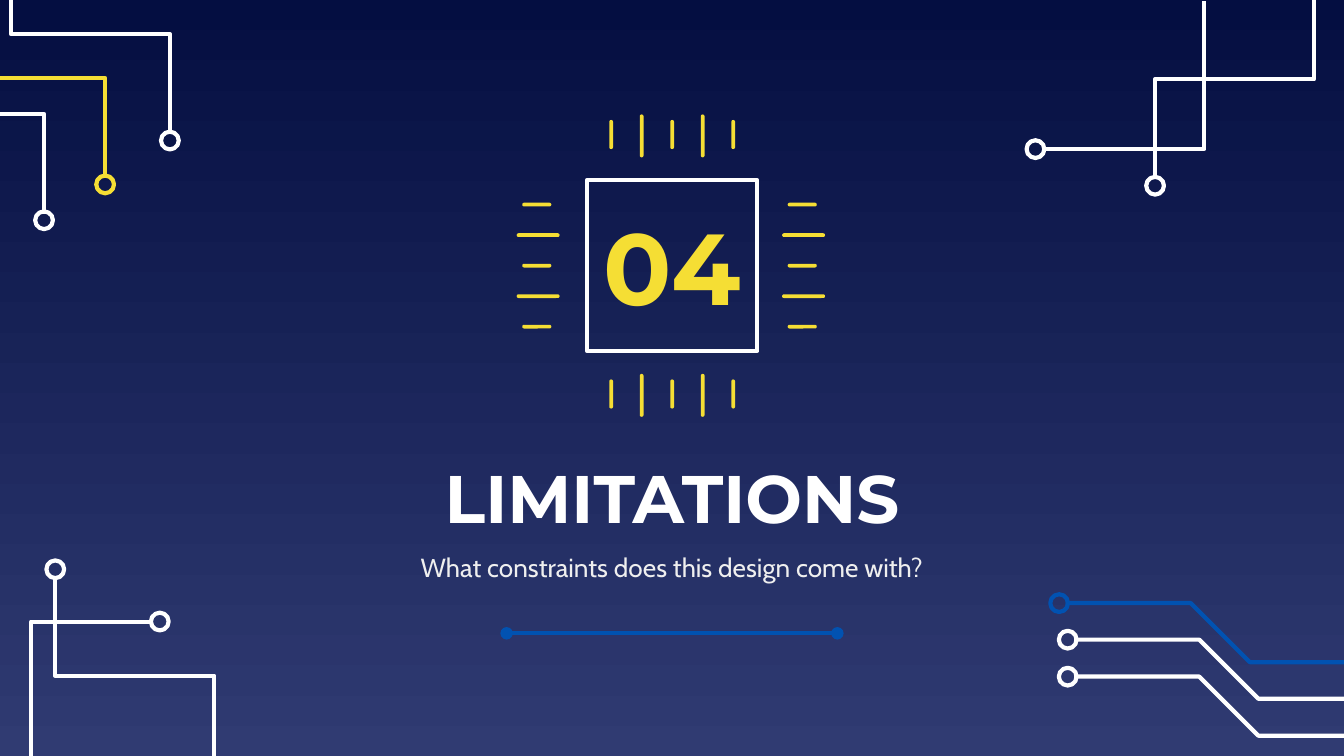
from dataclasses import dataclass
from math import hypot

from lxml import etree
from pptx import Presentation
from pptx.dml.color import RGBColor
from pptx.enum.shapes import MSO_CONNECTOR, MSO_SHAPE
from pptx.enum.text import MSO_ANCHOR, MSO_AUTO_SIZE, PP_ALIGN
from pptx.oxml.ns import qn
from pptx.util import Pt

STRAIGHT = MSO_CONNECTOR.STRAIGHT
OVAL, RECT, ROUNDED = MSO_SHAPE.OVAL, MSO_SHAPE.RECTANGLE, MSO_SHAPE.ROUNDED_RECTANGLE
MIDDLE, CENTER, NO_FIT = MSO_ANCHOR.MIDDLE, PP_ALIGN.CENTER, MSO_AUTO_SIZE.NONE


@dataclass(frozen=True)
class Theme:
    """Colours, fonts, type sizes and line measures of the slide."""
    night: RGBColor = RGBColor.from_string("040E41")
    dusk: RGBColor = RGBColor.from_string("303B72")
    white: RGBColor = RGBColor.from_string("FFFFFF")
    yellow: RGBColor = RGBColor.from_string("F5DE34")
    blue: RGBColor = RGBColor.from_string("0152B1")
    pale: RGBColor = RGBColor.from_string("EFEFEF")
    heading: str = "Montserrat"
    body: str = "Cabin"
    number_size: float = 54
    title_size: float = 36
    subtitle_size: float = 14
    stroke: float = 2.25
    ring: float = 9.5


THEME = Theme()


def outline(shape, color):
    """Give a shape a plain outline without fill or shadow."""
    shape.shadow.inherit = False
    shape.fill.background()
    shape.line.color.rgb = color
    shape.line.width = Pt(THEME.stroke)


def write(shape, text, font, size, color, bold=False):
    """Write one centred line into a shape."""
    frame = shape.text_frame
    frame.word_wrap = True
    frame.auto_size = NO_FIT
    frame.vertical_anchor = MIDDLE
    frame.margin_left = frame.margin_right = Pt(7.2)
    frame.margin_top = frame.margin_bottom = Pt(7.2)
    paragraph = frame.paragraphs[0]
    paragraph.alignment = CENTER
    run = paragraph.add_run()
    run.text = text
    run.font.name, run.font.size, run.font.bold = font, Pt(size), bold
    run.font.color.rgb = color


def add_background(slide):
    """Fill the slide with a gradient from top to bottom."""
    fill = slide.background.fill
    fill.gradient()
    fill.gradient_angle = 270
    for stop, color in zip(fill.gradient_stops, (THEME.night, THEME.dusk)):
        stop.color.rgb = color


def add_trace(slide, x, y, moves, color):
    """Draw a ring centred at x, y and a circuit line that leaves its edge."""
    dx, dy = moves[0]
    gap = 3.5 / hypot(dx, dy)
    points = [(x + dx * gap, y + dy * gap)]
    for dx, dy in moves:
        last_x, last_y = points[-1]
        points.append((last_x + dx, last_y + dy))
    points = [(Pt(px), Pt(py)) for px, py in points]
    builder = slide.shapes.build_freeform(*points[0])
    builder.add_line_segments(points[1:], close=False)
    outline(builder.convert_to_shape(), color)

    size = THEME.ring
    ring = slide.shapes.add_shape(
        OVAL, Pt(x - size / 2), Pt(y - size / 2), Pt(size), Pt(size))
    outline(ring, color)


def add_circuits(slide, width, height):
    """Place the circuit lines in the four corners of the slide."""
    white, yellow, blue = THEME.white, THEME.yellow, THEME.blue
    rise = [(0, -53.5), (-85.2, 0), (0, -49.5)]
    rise_right = [(-dx, dy) for dx, dy in rise]
    fall_right = [(-dx, -dy) for dx, dy in rise]
    slope = [(67, 0), (31.7, 31.7), (53, 0)]
    traces = [
        (23.6, 118, rise, white),
        (56.3, 98.8, rise, yellow),
        (91, 75.3, rise, white),
        (width - 101.2, 99.5, rise_right, white),
        (width - 165.3, 79.9, [(87, 0), (0, -79.2)], white),
        (29.6, height - 100, fall_right, white),
        (85.6, height - 72, [(-65.5, 0), (0, 77.7)], white),
        (width - 152.6, height - 81.9, slope, blue),
        (width - 148, height - 62.3, slope, white),
        (width - 148, height - 42.5, slope, white),
    ]
    for trace in traces:
        add_trace(slide, *trace)


def add_chip(slide, left, top, size, number):
    """Draw the chip: a numbered square with five pins on each side."""
    square = slide.shapes.add_shape(RECT, Pt(left), Pt(top), Pt(size), Pt(size))
    outline(square, THEME.white)
    write(square, number, THEME.heading, THEME.number_size, THEME.yellow, True)

    center_x, center_y = left + size / 2, top + size / 2
    for side in (-1, 1):
        for index in range(5):
            along = (index - 2) * 16.35
            is_long = index % 2 == 1
            length = 23 if is_long else 15.6
            shift = 0 if is_long else -0.7
            add_pin(slide, center_x + along, center_y + side * 69.5 + shift, 2, length)
            add_pin(slide, center_x - 0.7 + side * 71.1 + shift, center_y + along, length, 2)


def add_pin(slide, x, y, width, height):
    """Draw one round-ended pin centred at x, y."""
    pin = slide.shapes.add_shape(
        ROUNDED, Pt(x - width / 2), Pt(y - height / 2), Pt(width), Pt(height))
    pin.adjustments[0] = 0.5
    pin.shadow.inherit = False
    pin.fill.solid()
    pin.fill.fore_color.rgb = THEME.yellow
    pin.line.fill.background()


def add_heading(slide, left, top, width, title, subtitle):
    """Place the title, the subtitle and the rule below them."""
    heading = slide.shapes.title
    heading.left, heading.top = Pt(left), Pt(top)
    heading.width, heading.height = Pt(width), Pt(48.2)
    write(heading, title, THEME.heading, THEME.title_size, THEME.white, True)

    question = slide.shapes.add_textbox(
        Pt(left + 4.6), Pt(top + 45.4), Pt(width - 9.2), Pt(33))
    write(question, subtitle, THEME.body, THEME.subtitle_size, THEME.pale)

    rule_y = Pt(top + 97.3)
    middle = left + width / 2
    rule = slide.shapes.add_connector(
        STRAIGHT, Pt(middle - 88.6), rule_y, Pt(middle + 88.6), rule_y)
    rule.line.color.rgb = THEME.blue
    rule.line.width = Pt(THEME.stroke)
    for end in ("a:headEnd", "a:tailEnd"):
        etree.SubElement(rule.line._get_or_add_ln(), qn(end), type="oval")
    etree.SubElement(rule._element.spPr, qn("a:effectLst"))


def main():
    """Build the section slide and save it."""
    width, height = 720, 405
    deck = Presentation()
    deck.slide_width, deck.slide_height = Pt(width), Pt(height)
    slide = deck.slides.add_slide(deck.slide_layouts.get_by_name("Title Only"))
    add_background(slide)
    add_circuits(slide, width, height)
    add_heading(slide, 193, 242, 334, "LIMITATIONS",
                "What constraints does this design come with?")
    add_chip(slide, 314.4, 96.6, 91.4, "04")
    deck.save("out.pptx")


if __name__ == "__main__":
    main()
